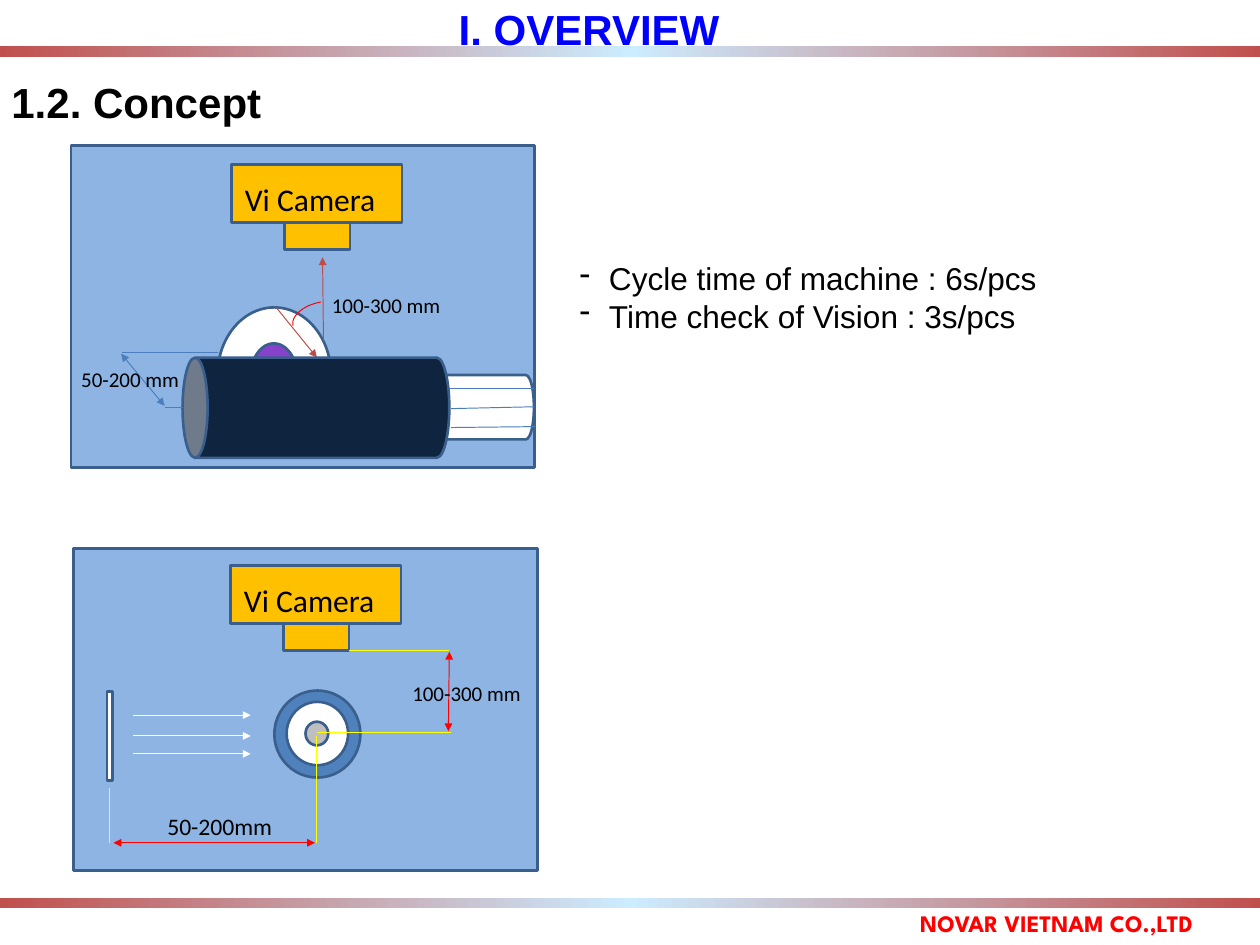
import copy

import pptx
import pptx.dml.color
import pptx.enum.shapes
import pptx.enum.text
import pptx.oxml.ns
import pptx.oxml.xmlchemy
import pptx.util

Inches = pptx.util.Inches
Pt = pptx.util.Pt
qn = pptx.oxml.ns.qn
SHAPE = pptx.enum.shapes.MSO_SHAPE
ALIGN = pptx.enum.text.PP_ALIGN
ANCHOR = pptx.enum.text.MSO_ANCHOR

OUTLINE = "3A5F8C"
PANEL = "8EB4E3"
CAMERA = "FFC000"
WHITE = "FFFFFF"
BLACK = "000000"
RED = "FF0000"
YELLOW = "FFFF00"
BLUE_LINE = "4B7EBC"
BRICK_LINE = "BF4C48"


def color(value):
    return pptx.dml.color.RGBColor.from_string(value)


def add_element(parent, tag, **attributes):
    element = pptx.oxml.xmlchemy.OxmlElement(tag)
    for name, value in attributes.items():
        element.set(name, value)
    parent.append(element)


class ConceptSlide:
    def __init__(self, presentation):
        self.slide = presentation.slides.add_slide(presentation.slide_layouts[6])
        self.shapes = self.slide.shapes

    def shape(self, kind, left, top, width, height, fill=None,
              line=OUTLINE, weight=2, rotation=0):
        shape = self.shapes.add_shape(
            kind, Inches(left), Inches(top), Inches(width), Inches(height))
        shape.shadow.inherit = False
        shape.rotation = rotation
        if fill:
            shape.fill.solid()
            shape.fill.fore_color.rgb = color(fill)
        else:
            shape.fill.background()
        if line:
            shape.line.color.rgb = color(line)
            shape.line.width = Pt(weight)
        else:
            shape.line.fill.background()
        return shape

    def gradient_bar(self, top, edge="C0504D", middle="CCECFF"):
        bar = self.shape(SHAPE.RECTANGLE, 0, top, 13.32, 0.11, line=None)
        bar.fill.gradient()
        bar.fill.gradient_angle = 0
        stops = bar._element.spPr.find(qn("a:gradFill")).find(qn("a:gsLst"))
        stops.append(copy.deepcopy(stops[0]))
        for stop, position, value in zip(
                bar.fill.gradient_stops, (0, 0.5, 1), (edge, middle, edge)):
            stop.position = position
            stop.color.rgb = color(value)

    def line(self, x1, y1, x2, y2, stroke, head=False, tail=False):
        """Draw a thin line; head and tail put arrowheads at its start and end."""
        connector = self.shapes.add_connector(
            pptx.enum.shapes.MSO_CONNECTOR.STRAIGHT,
            Inches(x1), Inches(y1), Inches(x2), Inches(y2))
        connector.line.color.rgb = color(stroke)
        connector.line.width = Pt(0.75)
        properties = connector._element.spPr
        outline = properties.find(qn("a:ln"))
        if head:
            add_element(outline, "a:headEnd", type="triangle")
        if tail:
            add_element(outline, "a:tailEnd", type="triangle")
        add_element(properties, "a:effectLst")

    def text(self, lines, left, top, width, height, size, font="Calibri",
             fill=BLACK, bold=False, align=ALIGN.LEFT, anchor=ANCHOR.TOP,
             margins=(0.1, 0.05), bullet=None):
        box = self.shapes.add_textbox(
            Inches(left), Inches(top), Inches(width), Inches(height))
        frame = box.text_frame
        frame.word_wrap = True
        frame.vertical_anchor = anchor
        frame.margin_left = frame.margin_right = Inches(margins[0])
        frame.margin_top = frame.margin_bottom = Inches(margins[1])
        for index, words in enumerate(lines):
            paragraph = frame.add_paragraph() if index else frame.paragraphs[0]
            paragraph.alignment = align
            if bullet:
                properties = paragraph._p.get_or_add_pPr()
                properties.set("marL", str(Inches(0.31)))
                properties.set("indent", str(-Inches(0.31)))
                add_element(properties, "a:buChar", char=bullet)
            run = paragraph.add_run()
            run.text = words
            run.font.size = Pt(size)
            run.font.name = font
            run.font.bold = bold
            run.font.color.rgb = color(fill)

    def label(self, words, left, top, size=16):
        self.text([words], left, top, 1.38, 0.37, size)

    def camera_panel(self, panel_left, panel_top, camera_left, camera_top):
        self.shape(SHAPE.RECTANGLE, panel_left, panel_top, 4.9, 3.4, PANEL)
        self.shape(SHAPE.RECTANGLE, camera_left + 0.56, camera_top + 0.45,
                   0.69, 0.45, CAMERA)
        self.shape(SHAPE.RECTANGLE, camera_left, camera_top, 1.8, 0.61, CAMERA)
        self.text(["Vi Camera"], camera_left + 0.04, camera_top + 0.11,
                  1.75, 0.5, 24)


def draw_frame(page):
    page.text(["NOVAR VIETNAM CO.,LTD"], 8.99, 9.54, 4.36, 0.45, 18,
              "League Spartan", RED, True, ALIGN.CENTER, margins=(0.15, 0.07))
    for top in (0.49, 9.49):
        page.gradient_bar(top)
    page.text(["I. OVERVIEW"], 1.91, -0.01, 8.64, 0.64, 32, "Arial",
              "0000FF", True, ALIGN.CENTER)
    page.text(["1.2. Concept"], -0.01, 0.74, 6.41, 0.67, 32, "Arial",
              bold=True, margins=(0.13, 0.07))
    page.text(["Cycle time of machine : 6s/pcs", "Time check of Vision : 3s/pcs"],
              6.03, 2.3, 6.07, 1.67, 24, "Arial", anchor=ANCHOR.MIDDLE, bullet="-")


def draw_side_view(page):
    page.camera_panel(0.75, 1.54, 2.45, 1.74)
    page.shape(SHAPE.OVAL, 2.3, 3.25, 1.2, 1.43, WHITE)
    page.shape(SHAPE.OVAL, 2.65, 3.63, 0.49, 0.69, "8642CA")
    page.line(2.92, 3.25, 3.35, 3.78, BRICK_LINE, tail=True)
    page.line(3.42, 3.6, 3.41, 2.72, BRICK_LINE, tail=True)
    page.shape(SHAPE.CAN, 4.69, 3.69, 0.68, 1.23, WHITE, rotation=270)
    page.shape(SHAPE.CAN, 2.81, 2.9, 1.06, 2.82, "0F243E", rotation=270)
    for x1, y1, x2, y2 in ((4.75, 4.11, 5.65, 4.11), (4.77, 4.32, 5.65, 4.3),
                           (4.77, 4.52, 5.66, 4.51), (1.93, 4.31, 1.74, 4.31),
                           (2.31, 3.73, 1.29, 3.73)):
        page.line(x1, y1, x2, y2, BLUE_LINE)
    page.line(1.28, 3.74, 1.74, 4.29, BLUE_LINE, head=True, tail=True)
    page.label("50-200 mm", 0.76, 3.83)
    page.shape(SHAPE.ARC, 3.23, 3.05, 0.39, 0.67, line=RED, weight=0.75, rotation=260)
    page.label("100-300 mm", 3.41, 3.04)


def draw_front_view(page):
    page.camera_panel(0.78, 5.8, 2.44, 5.98)
    page.shape(SHAPE.OVAL, 2.9, 7.3, 0.91, 0.92, "4F81BD")
    page.shape(SHAPE.OVAL, 3.03, 7.42, 0.65, 0.67, WHITE)
    page.shape(SHAPE.OVAL, 3.23, 7.63, 0.24, 0.25, "BFBFBF")
    page.shape(SHAPE.RECTANGLE, 1.13, 7.31, 0.06, 0.94, WHITE)
    for y in (7.56, 7.78, 7.97):
        page.line(1.41, y, 2.65, y, WHITE, tail=True)
    for x1, y1, x2, y2 in ((3.69, 6.88, 4.75, 6.88), (3.35, 7.74, 4.77, 7.74),
                           (1.16, 8.33, 1.16, 8.91), (3.35, 7.78, 3.35, 8.91)):
        page.line(x1, y1, x2, y2, YELLOW)
    page.line(1.2, 8.91, 3.33, 8.91, RED, head=True, tail=True)
    page.line(4.75, 6.89, 4.74, 7.73, RED, head=True, tail=True)
    page.label("100-300 mm", 4.26, 7.14)
    page.label("50-200mm", 1.67, 8.53, 18)


def main():
    presentation = pptx.Presentation()
    presentation.slide_width = Inches(13.32)
    presentation.slide_height = Inches(9.99)
    page = ConceptSlide(presentation)
    draw_frame(page)
    draw_side_view(page)
    draw_front_view(page)
    presentation.save("out.pptx")


if __name__ == "__main__":
    main()
